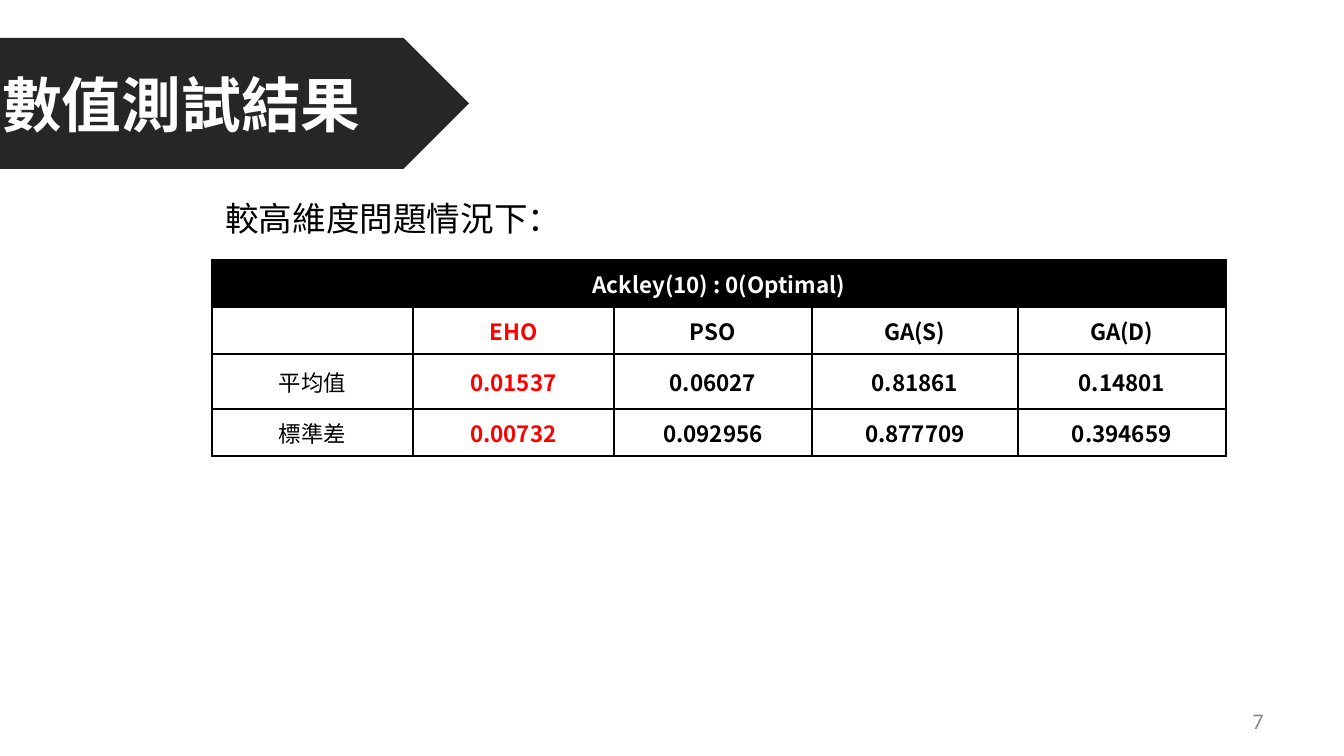
from dataclasses import dataclass

from lxml.etree import SubElement
from pptx import Presentation
from pptx.dml.color import RGBColor
from pptx.enum.shapes import MSO_SHAPE
from pptx.enum.text import MSO_ANCHOR, MSO_AUTO_SIZE, PP_ALIGN
from pptx.oxml.ns import qn
from pptx.util import Inches, Pt

PX = 914400 / 134.4
CJK = "Noto Sans CJK SC"
BLACK = RGBColor(0x00, 0x00, 0x00)
WHITE = RGBColor(0xFF, 0xFF, 0xFF)
RED = RGBColor(0xFF, 0x00, 0x00)
CHARCOAL = RGBColor(0x26, 0x26, 0x26)
GRAY = RGBColor(0x89, 0x89, 0x89)


@dataclass(frozen=True)
class Box:
    x: int
    y: int
    w: int
    h: int

    def emu(self) -> tuple[int, ...]:
        return tuple(px(v) for v in (self.x, self.y, self.w, self.h))


@dataclass(frozen=True)
class Style:
    size: int
    color: RGBColor = BLACK
    bold: bool = False
    font: str = CJK
    align: PP_ALIGN = PP_ALIGN.CENTER


def px(n: int) -> int:
    return round(n * PX)


def set_text(tf, text: str, style: Style) -> None:
    p = tf.paragraphs[0]
    p.text = text
    p.alignment = style.align
    for r in p.runs:
        r.font.size = Pt(style.size)
        r.font.bold = style.bold
        r.font.color.rgb = style.color
        r.font.name = style.font
        SubElement(r.font._element, qn("a:ea"), typeface=style.font)
    if not text:
        SubElement(p._p, qn("a:endParaRPr"), sz=str(style.size * 100))


def add_label(slide, box: Box, text: str, style: Style, wrap: bool, anchor: MSO_ANCHOR) -> None:
    tf = slide.shapes.add_textbox(*box.emu()).text_frame
    tf.word_wrap = wrap
    tf.vertical_anchor = anchor
    set_text(tf, text, style)


def format_cell(cell, text: str, style: Style, fill: RGBColor) -> None:
    cell.margin_left = cell.margin_right = Inches(0.07)
    cell.margin_top = cell.margin_bottom = 0
    cell.vertical_anchor = MSO_ANCHOR.MIDDLE
    set_text(cell.text_frame, text, style)
    tc_pr = cell._tc.get_or_add_tcPr()
    for side in ("lnL", "lnR", "lnT", "lnB"):
        ln = SubElement(tc_pr, qn(f"a:{side}"), w=str(Pt(1)))
        line_fill = SubElement(ln, qn("a:solidFill"))
        SubElement(line_fill, qn("a:srgbClr"), val=str(BLACK))
    cell.fill.solid()
    cell.fill.fore_color.rgb = fill


def add_results(slide, x: int, y: int, cols: list[int], rows: list[int],
                data: list[list[str]]) -> None:
    box = Box(x, y, sum(cols), sum(rows))
    table = slide.shapes.add_table(len(rows), len(cols), *box.emu()).table
    table.first_row = table.horz_banding = False
    for col, w in zip(table.columns, cols):
        col.width = px(w)
    for row, h in zip(table.rows, rows):
        row.height = px(h)
    table.cell(0, 0).merge(table.cell(0, len(cols) - 1))
    for i, values in enumerate(data):
        for j, text in enumerate(values):
            if i == 0:
                style, fill = Style(12, WHITE, True), BLACK
            else:
                style, fill = Style(12, RED if j == 1 else BLACK, j > 0), WHITE
            format_cell(table.cell(i, j), text, style, fill)


def main() -> None:
    prs = Presentation()
    prs.slide_width, prs.slide_height = px(1344), px(756)
    slide = prs.slides.add_slide(prs.slide_layouts[5])
    title = slide.shapes.title

    # Title banner, placed behind the title
    banner = slide.shapes.add_shape(MSO_SHAPE.PENTAGON, *Box(-73, 38, 542, 131).emu())
    banner.shadow.inherit = False
    banner.fill.solid()
    banner.fill.fore_color.rgb = CHARCOAL
    banner.line.fill.background()
    title._element.addprevious(banner._element)

    # Title, centred in the banner's text area
    title.left, title.top, title.width, title.height = Box(-73, 38, 509, 131).emu()
    tf = title.text_frame
    tf.auto_size = MSO_AUTO_SIZE.NONE
    tf.vertical_anchor = MSO_ANCHOR.MIDDLE
    set_text(tf, "數值測試結果", Style(32, WHITE, True))

    # Test results
    add_label(slide, Box(212, 191, 367, 54), "較高維度問題情況下：",
              Style(18, align=PP_ALIGN.LEFT), False, MSO_ANCHOR.TOP)
    add_results(slide, 212, 260, [201, 201, 198, 206, 208], [47, 47, 55, 47], [
        ["Ackley(10) : 0(Optimal)", "", "", "", ""],
        ["", "EHO", "PSO", "GA(S)", "GA(D)"],
        ["平均值", "0.01537", "0.06027", "0.81861", "0.14801"],
        ["標準差", "0.00732", "0.092956", "0.877709", "0.394659"],
    ])

    # Page number
    add_label(slide, Box(964, 701, 313, 40), "7",
              Style(12, GRAY, font="Calibri", align=PP_ALIGN.RIGHT), True, MSO_ANCHOR.MIDDLE)

    prs.save("out.pptx")


if __name__ == "__main__":
    main()
